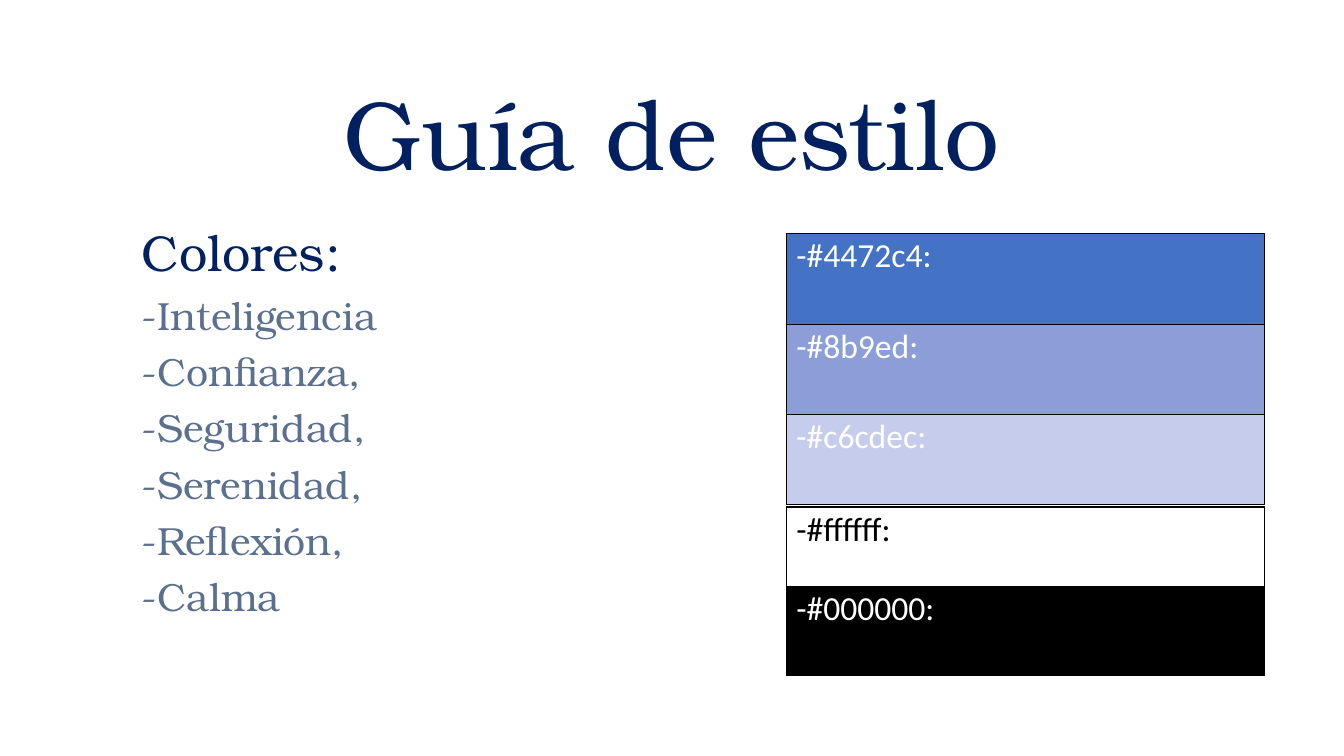
from dataclasses import dataclass

from pptx import Presentation
from pptx.dml.color import RGBColor
from pptx.enum.shapes import MSO_SHAPE
from pptx.enum.text import MSO_ANCHOR, PP_ALIGN
from pptx.shapes.base import BaseShape
from pptx.slide import Slide
from pptx.util import Pt

PX = 9144
RECTANGLE = MSO_SHAPE.RECTANGLE
TOP, BOTTOM = MSO_ANCHOR.TOP, MSO_ANCHOR.BOTTOM
LEFT, CENTER, JUSTIFY = PP_ALIGN.LEFT, PP_ALIGN.CENTER, PP_ALIGN.JUSTIFY


@dataclass(frozen=True)
class Theme:
    serif: str = "TeX Gyre Bonum"
    sans: str = "Calibri"
    navy: str = "002060"
    slate: str = "5B708F"
    white: str = "FFFFFF"
    black: str = "000000"
    title_size: int = 70
    heading_size: int = 36
    value_size: int = 28
    swatch_size: int = 24
    paragraph_gap: int = 10
    line_spacing: float = 0.9
    border: float = 0.75


@dataclass(frozen=True)
class Frame:
    left: int
    top: int
    width: int
    height: int

    def emu(self) -> tuple[int, ...]:
        return tuple(side * PX for side in (self.left, self.top, self.width, self.height))


@dataclass(frozen=True)
class Line:
    text: str
    font: str
    size: int
    color: str
    align: PP_ALIGN = LEFT


@dataclass(frozen=True)
class Swatch:
    label: str
    fill: str
    ink: str
    top: int
    height: int


THEME = Theme()
TITLE_FRAME = Frame(91, 47, 1150, 148)
VALUES_FRAME = Frame(131, 221, 494, 471)
SWATCH_LEFT, SWATCH_WIDTH = 780, 474

TITLE = Line("Guía de estilo", THEME.serif, THEME.title_size, THEME.navy, CENTER)
HEADING = Line("Colores:", THEME.serif, THEME.heading_size, THEME.navy)
VALUES = ("-Inteligencia", "-Confianza,", "-Seguridad,", "-Serenidad,", "-Reflexión,", "-Calma")
SWATCHES = (
    Swatch("-#4472c4:", "4472C4", THEME.white, 232, 90),
    Swatch("-#8b9ed:", "8B9ED8", THEME.white, 322, 90),
    Swatch("-#c6cdec:", "C6CDEC", THEME.white, 411, 90),
    Swatch("-#ffffff:", THEME.white, THEME.black, 503, 81),
    Swatch("-#000000:", THEME.black, THEME.white, 582, 88),
)


def apply(target: object, values: dict[str, object]) -> None:
    for name, value in values.items():
        setattr(target, name, value)


def write_lines(box: BaseShape, lines: list[Line], anchor: MSO_ANCHOR = TOP) -> None:
    frame = box.text_frame
    apply(frame, {"word_wrap": True, "vertical_anchor": anchor})
    for index, line in enumerate(lines):
        para = frame.add_paragraph() if index else frame.paragraphs[0]
        apply(para, {
            "alignment": line.align,
            "line_spacing": THEME.line_spacing,
            "space_before": Pt(THEME.paragraph_gap if index else 0),
        })
        span = para.add_run()
        span.text = line.text
        apply(span.font, {"name": line.font, "size": Pt(line.size)})
        span.font.color.rgb = RGBColor.from_string(line.color)


def add_text(page: Slide, frame: Frame, lines: list[Line], anchor: MSO_ANCHOR = TOP) -> None:
    write_lines(page.shapes.add_textbox(*frame.emu()), lines, anchor)


def add_swatch(page: Slide, swatch: Swatch) -> None:
    frame = Frame(SWATCH_LEFT, swatch.top, SWATCH_WIDTH, swatch.height)
    box = page.shapes.add_shape(RECTANGLE, *frame.emu())
    box.shadow.inherit = False
    box.fill.solid()
    box.fill.fore_color.rgb = RGBColor.from_string(swatch.fill)
    box.line.color.rgb = RGBColor.from_string(THEME.black)
    box.line.width = Pt(THEME.border)
    write_lines(box, [Line(swatch.label, THEME.sans, THEME.swatch_size, swatch.ink)])


def main() -> None:
    deck = Presentation()
    apply(deck, {"slide_width": 1333 * PX, "slide_height": 750 * PX})
    page = deck.slides.add_slide(deck.slide_layouts[6])
    add_text(page, TITLE_FRAME, [TITLE], BOTTOM)
    values = [Line(text, THEME.serif, THEME.value_size, THEME.slate, JUSTIFY) for text in VALUES]
    add_text(page, VALUES_FRAME, [HEADING, *values])
    for swatch in SWATCHES:
        add_swatch(page, swatch)
    deck.save("out.pptx")


if __name__ == "__main__":
    main()
